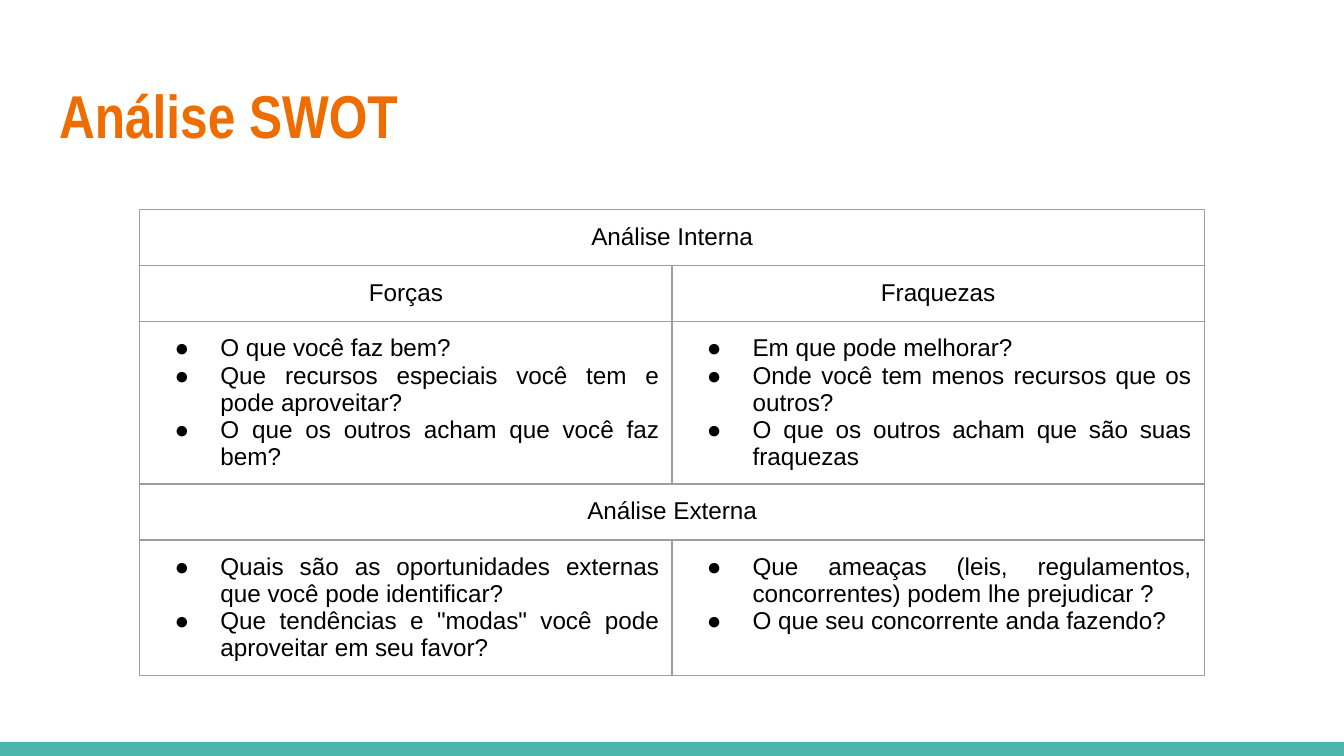
from lxml.etree import SubElement
from pptx import Presentation
from pptx.dml.color import RGBColor
from pptx.enum.shapes import MSO_SHAPE
from pptx.enum.text import MSO_ANCHOR, MSO_AUTO_SIZE, PP_ALIGN
from pptx.oxml import parse_xml
from pptx.oxml.ns import nsdecls, qn
from pptx.util import Inches, Pt

ORANGE = RGBColor(0xEF, 0x6C, 0x00)
TEAL = RGBColor(0x4D, 0xB6, 0xAC)
GREY = RGBColor(0x9E, 0x9E, 0x9E)
BLACK = RGBColor(0, 0, 0)

WIDE = 10
HIGH = WIDE * 9 / 16
PAD = Inches(0.1)
LEFT, TOP, COL = 1.04, 1.56, 3.96
ROWS = [30, 30, 87, 30, 72]  # points

# A string is a centred heading, a list is a bulleted cell;
# a row with one entry spans both columns
GRID = [
    ["Análise Interna"],
    ["Forças", "Fraquezas"],
    [["O que você faz bem?",
      "Que recursos especiais você tem e pode aproveitar?",
      "O que os outros acham que você faz bem?"],
     ["Em que pode melhorar?",
      "Onde você tem menos recursos que os outros?",
      "O que os outros acham que são suas fraquezas"]],
    ["Análise Externa"],
    [["Quais são as oportunidades externas que você pode identificar?",
      'Que tendências e "modas" você pode aproveitar em seu favor?'],
     ["Que ameaças (leis, regulamentos, concorrentes) podem lhe prejudicar ?",
      "O que seu concorrente anda fazendo? "]],
]


def write(para, text, size=13, font="Arial", color=BLACK, bold=False,
          align=PP_ALIGN.CENTER, dot=False):
    para.alignment = align
    run = para.add_run()
    run.text = text
    run.font.size = Pt(size)
    run.font.name = font
    run.font.bold = bold
    run.font.color.rgb = color
    if dot:
        prop = para._p.get_or_add_pPr()
        prop.set("marL", str(Inches(0.5)))
        prop.set("indent", str(Inches(-0.34)))
        tint = SubElement(prop, qn("a:buClr"))
        SubElement(tint, qn("a:srgbClr"), val=str(color))
        SubElement(prop, qn("a:buFont"), typeface=font)
        SubElement(prop, qn("a:buChar"), char="●")


def pad(box):
    box.margin_left = box.margin_right = PAD
    box.margin_top = box.margin_bottom = PAD


def add_title(slide, text):
    title = slide.shapes.title
    title.left, title.top = Inches(0.34), Inches(0.49)
    title.width, title.height = Inches(9.32), Inches(0.77)
    frame = title.text_frame
    pad(frame)
    frame.auto_size = MSO_AUTO_SIZE.NONE
    frame.vertical_anchor = MSO_ANCHOR.MIDDLE
    para = frame.paragraphs[0]
    para.line_spacing = 0.95
    write(para, text, size=32.4, font="Arial Narrow", color=ORANGE,
          bold=True, align=PP_ALIGN.LEFT)


def add_bar(slide):
    bar = slide.shapes.add_shape(MSO_SHAPE.RECTANGLE, 0, Inches(5.52),
                                 Inches(WIDE), Inches(HIGH - 5.52))
    bar.shadow.inherit = False
    bar.fill.solid()
    bar.fill.fore_color.rgb = TEAL
    bar.line.fill.background()


def frame_cell(cell):
    cell.fill.background()
    prop = cell._tc.get_or_add_tcPr()
    # Border lines come before the fill
    for spot, side in enumerate("LRTB"):
        prop.insert(spot, parse_xml(
            f'<a:ln{side} {nsdecls("a")} w="{Pt(0.75)}"><a:solidFill>'
            f'<a:srgbClr val="{GREY}"/></a:solidFill></a:ln{side}>'))


def fill_cell(cell, item):
    pad(cell)
    dot = isinstance(item, list)
    align = PP_ALIGN.JUSTIFY if dot else PP_ALIGN.CENTER
    frame = cell.text_frame
    for num, text in enumerate(item if dot else [item]):
        para = frame.add_paragraph() if num else frame.paragraphs[0]
        write(para, text, align=align, dot=dot)


def add_grid(slide):
    table = slide.shapes.add_table(
        len(ROWS), 2, Inches(LEFT), Inches(TOP),
        Inches(2 * COL), Pt(sum(ROWS))).table
    table.first_row = table.horz_banding = False
    for row, high in zip(table.rows, ROWS):
        row.height = Pt(high)
    for cell in table.iter_cells():
        frame_cell(cell)
    for row, items in enumerate(GRID):
        if len(items) == 1:
            table.cell(row, 0).merge(table.cell(row, 1))
        for col, item in enumerate(items):
            fill_cell(table.cell(row, col), item)


def main():
    deck = Presentation()
    deck.slide_width, deck.slide_height = Inches(WIDE), Inches(HIGH)
    slide = deck.slides.add_slide(deck.slide_layouts[5])
    add_bar(slide)
    add_title(slide, "Análise SWOT")
    add_grid(slide)
    deck.save("out.pptx")


if __name__ == "__main__":
    main()
